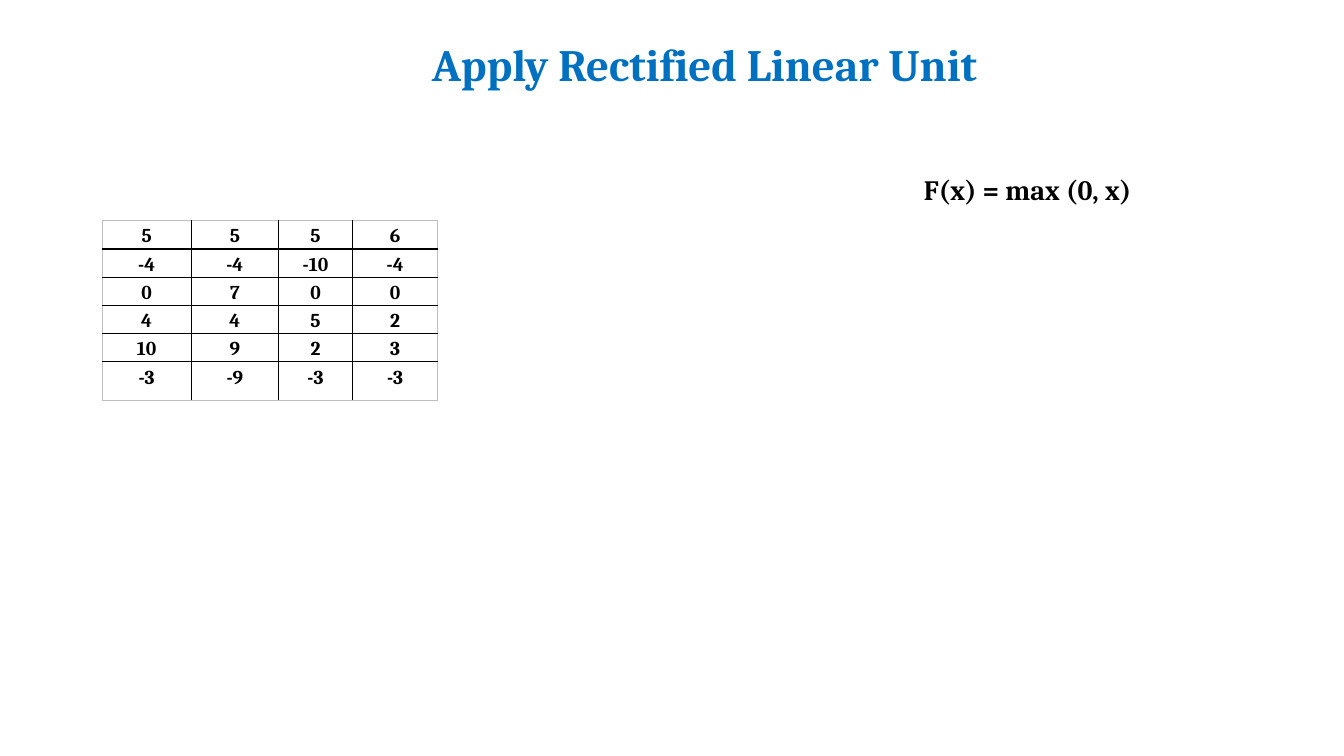
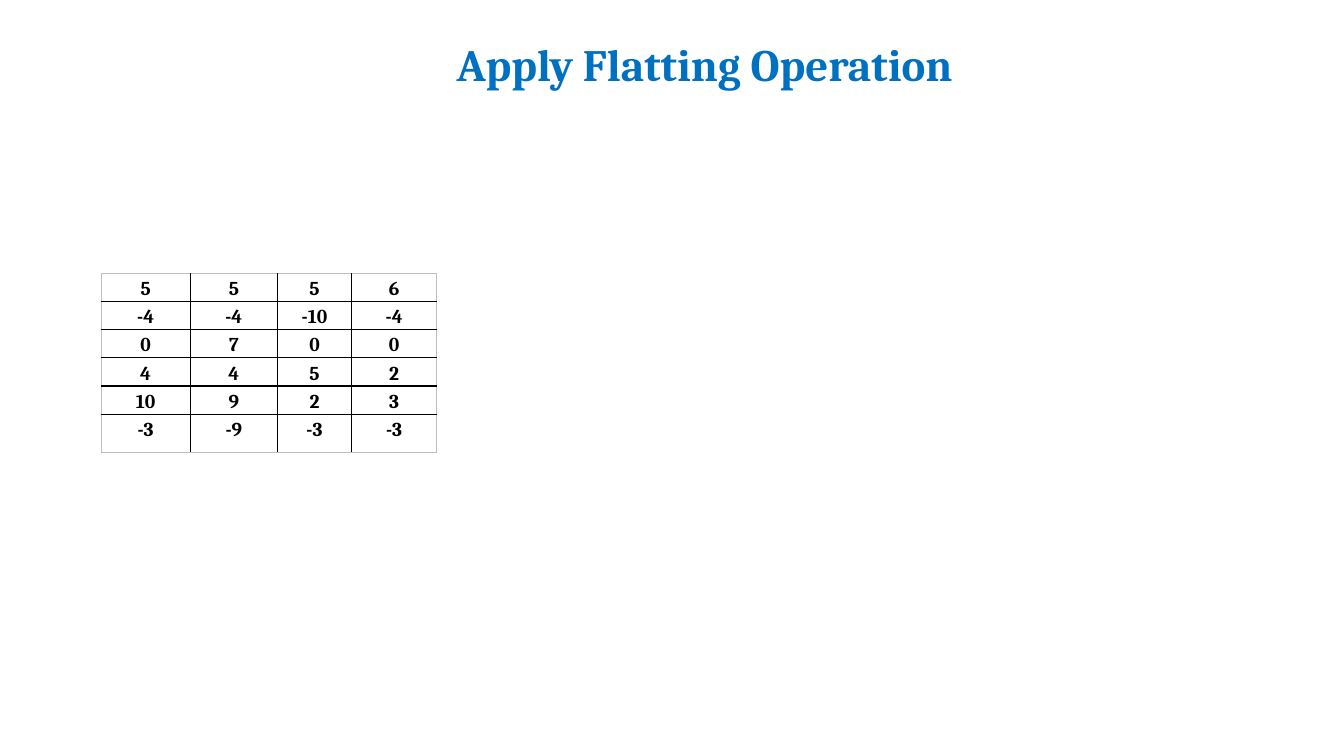
from pptx import Presentation
from pptx.dml.color import RGBColor
from pptx.enum.text import MSO_ANCHOR, PP_ALIGN
from pptx.oxml import parse_xml
from pptx.oxml.ns import nsdecls
from pptx.util import Inches, Pt

FONT = "Cambria"
BLUE = "0070C0"
BLACK = "000000"
OUTLINE_GRAY = "BFBFBF"
COLUMN_WIDTHS = [0.89, 0.86, 0.74, 0.84]
ROW_HEIGHTS = [0.26, 0.26, 0.28, 0.28, 0.26, 0.38]
FEATURE_MAP = [
    [5, 5, 5, 6],
    [-4, -4, -10, -4],
    [0, 7, 0, 0],
    [4, 4, 5, 2],
    [10, 9, 2, 3],
    [-3, -9, -3, -3],
]


def color(hex_value):
    """Return the colour for a hex string."""
    return RGBColor.from_string(hex_value)


def write(text_frame, text, size, hex_value, alignment, line_spacing):
    """Write one bold run in the first paragraph and return the paragraph."""
    paragraph = text_frame.paragraphs[0]
    paragraph.alignment = alignment
    paragraph.line_spacing = line_spacing
    run = paragraph.add_run()
    run.text = text
    run.font.name = FONT
    run.font.size = Pt(size)
    run.font.bold = True
    run.font.color.rgb = color(hex_value)
    return paragraph


def add_text_box(slide, left, top, width, height):
    """Add a wrapping text box and return its text frame."""
    shape = slide.shapes.add_textbox(
        Inches(left), Inches(top), Inches(width), Inches(height))
    shape.text_frame.word_wrap = True
    return shape.text_frame


def add_title(slide, text):
    """Add the shared blue title."""
    text_frame = add_text_box(slide, 3.97, 0.29, 6.04, 0.75)
    text_frame.vertical_anchor = MSO_ANCHOR.MIDDLE
    write(text_frame, text, 32, BLUE, PP_ALIGN.CENTER, 0.9)


def add_formula(slide, text):
    """Add the right-aligned activation formula."""
    text_frame = add_text_box(slide, 8.7, 1.5, 2.62, 0.55)
    paragraph = write(text_frame, text, 20, BLACK, PP_ALIGN.RIGHT, 1.5)
    paragraph.space_after = Pt(8)


def add_border(cell, side, is_outer):
    """Draw one cell side, grey on the table's outline and black inside."""
    hex_value, width = (OUTLINE_GRAY, 0.5) if is_outer else (BLACK, 1)
    cell._tc.get_or_add_tcPr().append(parse_xml(
        f'<a:ln{side} {nsdecls("a")} w="{Pt(width)}"><a:solidFill>'
        f'<a:srgbClr val="{hex_value}"/></a:solidFill></a:ln{side}>'))


def format_cell(cell, value, outer_sides):
    """Set the value, insets, borders and empty fill of a cell."""
    cell.margin_left = cell.margin_right = Inches(0.22)
    cell.margin_top = Inches(0.03)
    cell.margin_bottom = 0
    write(cell.text_frame, str(value), 14, BLACK, PP_ALIGN.CENTER, 1.07)
    for side, is_outer in outer_sides.items():
        add_border(cell, side, is_outer)
    cell.fill.background()


def add_feature_map(slide, left, top):
    """Add the feature map as a table."""
    row_count, column_count = len(ROW_HEIGHTS), len(COLUMN_WIDTHS)
    table = slide.shapes.add_table(
        row_count, column_count, Inches(left), Inches(top),
        Inches(sum(COLUMN_WIDTHS)), Inches(sum(ROW_HEIGHTS))).table
    table.first_row = False
    table.horz_banding = False
    for column, width in zip(table.columns, COLUMN_WIDTHS):
        column.width = Inches(width)
    for row, height in zip(table.rows, ROW_HEIGHTS):
        row.height = Inches(height)
    for row_index, values in enumerate(FEATURE_MAP):
        for column_index, value in enumerate(values):
            outer_sides = {
                "L": column_index == 0,
                "R": column_index == column_count - 1,
                "T": row_index == 0,
                "B": row_index == row_count - 1,
            }
            format_cell(table.cell(row_index, column_index), value, outer_sides)


def add_slide(presentation, title, table_left, table_top):
    """Add a slide with a title and the feature map."""
    slide = presentation.slides.add_slide(presentation.slide_layouts[6])
    add_title(slide, title)
    add_feature_map(slide, table_left, table_top)
    return slide


def main():
    """Build and save the presentation."""
    presentation = Presentation()
    presentation.slide_width = Inches(13.33)
    presentation.slide_height = Inches(7.5)
    slide = add_slide(presentation, "Apply Rectified Linear Unit", 1.01, 2.19)
    add_formula(slide, "F(x) = max (0, x)")
    add_slide(presentation, "Apply Flatting Operation", 1, 2.71)
    presentation.save("out.pptx")


if __name__ == "__main__":
    main()
